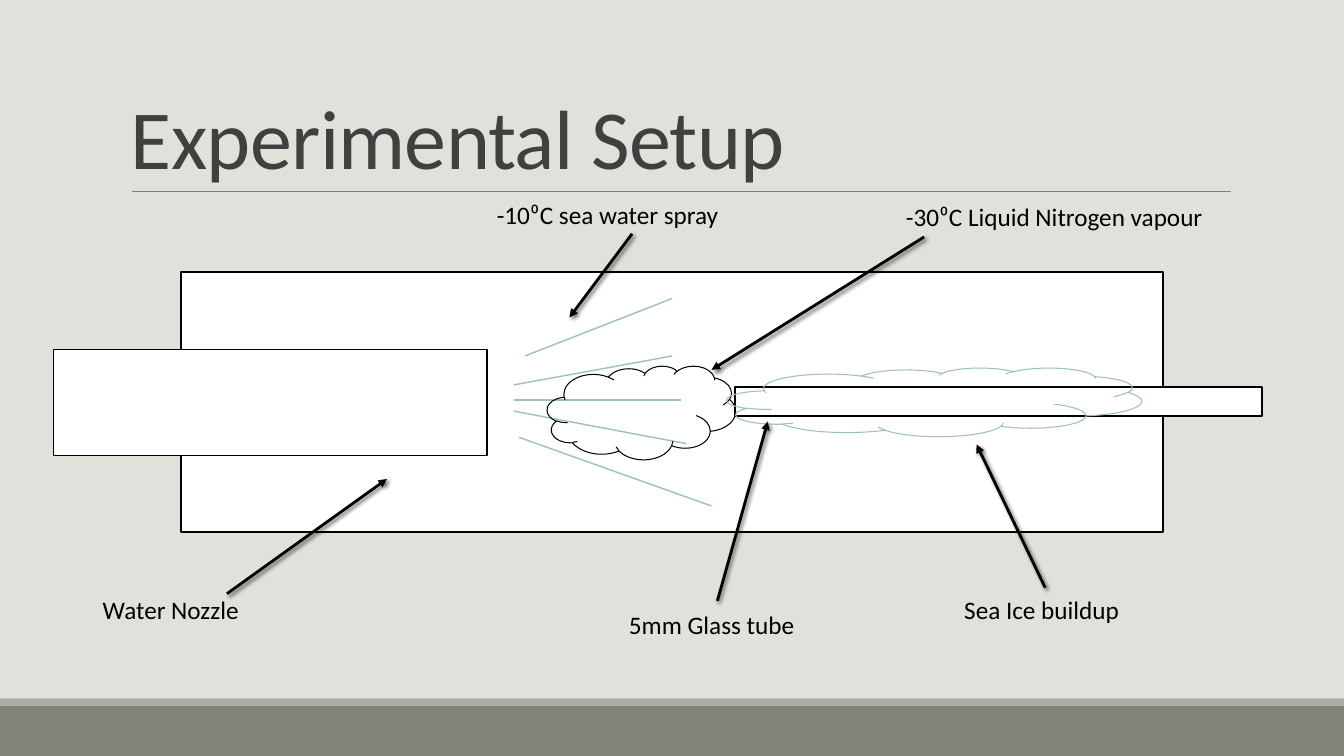
import pptx
import pptx.util
import pptx.dml.color
import pptx.enum.shapes
import pptx.enum.text
import pptx.oxml
import pptx.oxml.ns

Cm = pptx.util.Cm
Pt = pptx.util.Pt
PRESET = pptx.enum.shapes.MSO_SHAPE
FONT = "Calibri"
COLOURS = {
    "background": "E1E1DB",
    "footer": "82847C",
    "footer edge": "ACADA8",
    "rule": "808080",
    "title": "404040",
    "black": "000000",
    "white": "FFFFFF",
    "ice": "9DBFBE",
}
NAMESPACE = pptx.oxml.ns.nsdecls("a")
NO_EFFECT = f"<a:effectLst {NAMESPACE}/>"
ARROW_SHADOW = (
    f'<a:effectLst {NAMESPACE}><a:outerShdw blurRad="38100" dist="25400" '
    'dir="2700000" algn="tl" rotWithShape="0"><a:srgbClr val="000000">'
    '<a:alpha val="60000"/></a:srgbClr></a:outerShdw></a:effectLst>'
)
ARROWHEAD = f'<a:tailEnd {NAMESPACE} type="triangle"/>'


def colour(name):
    return pptx.dml.color.RGBColor.from_string(COLOURS[name])


def add_outline(line, line_colour, width):
    line.color.rgb = colour(line_colour)
    line.width = Pt(width)


def add_shape(slide, box, fill=None, line=None, width=1.25, preset=PRESET.RECTANGLE):
    shape = slide.shapes.add_shape(preset, *map(Cm, box))
    shape.shadow.inherit = False
    if fill:
        shape.fill.solid()
        shape.fill.fore_color.rgb = colour(fill)
    else:
        shape.fill.background()
    if line:
        add_outline(shape.line, line, width)
    else:
        shape.line.fill.background()


def add_line(slide, ends, line_colour, width, arrow=False):
    connector = slide.shapes.add_connector(
        pptx.enum.shapes.MSO_CONNECTOR.STRAIGHT, *map(Cm, ends))
    add_outline(connector.line, line_colour, width)
    properties = connector._element.spPr
    if arrow:
        properties.ln.append(pptx.oxml.parse_xml(ARROWHEAD))
    properties.append(pptx.oxml.parse_xml(ARROW_SHADOW if arrow else NO_EFFECT))


def add_text(slide, box, text, size, text_colour):
    text_box = slide.shapes.add_textbox(*map(Cm, box))
    paragraph = text_box.text_frame.paragraphs[0]
    run = paragraph.add_run()
    run.text = text
    run.font.name = FONT
    run.font.size = Pt(size)
    run.font.color.rgb = colour(text_colour)
    return text_box.text_frame, paragraph, run


def add_title(slide, box, text):
    frame, paragraph, run = add_text(slide, box, text, 60, "title")
    frame.word_wrap = True
    frame.vertical_anchor = pptx.enum.text.MSO_ANCHOR.BOTTOM
    paragraph.line_spacing = 0.85
    run.font._element.set("spc", "-50")


def add_label(slide, left, top, width, text):
    frame = add_text(slide, (left, top, width, 1.02), text, 18, "black")[0]
    frame.word_wrap = False
    frame.auto_size = pptx.enum.text.MSO_AUTO_SIZE.SHAPE_TO_FIT_TEXT


def main():
    presentation = pptx.Presentation()
    presentation.slide_width = Cm(33.87)
    presentation.slide_height = Cm(19.05)
    slide = presentation.slides.add_slide(presentation.slide_layouts[6])
    slide.background.fill.solid()
    slide.background.fill.fore_color.rgb = colour("background")

    # Footer bands, title and rule
    add_shape(slide, (0, 17.78, 33.87, 1.27), "footer")
    add_shape(slide, (0, 17.6, 33.87, 0.18), "footer edge")
    add_line(slide, (3.33, 4.83, 31.01, 4.83), "rule", 0.5)
    add_title(slide, (3.05, 0.79, 27.94, 4.04), "Experimental Setup")

    # Chamber and water nozzle
    add_shape(slide, (4.57, 6.86, 24.74, 6.55), "white", "black")
    add_shape(slide, (1.35, 8.81, 10.92, 2.67), "white", "black")

    # Sea water spray
    for ends in (
        (12.95, 9.7, 16.94, 8.97),
        (12.95, 10.36, 17.3, 11.18),
        (13.23, 8.97, 16.94, 7.52),
        (13.08, 11.02, 17.93, 12.75),
        (12.95, 10.08, 17.17, 10.08),
    ):
        add_line(slide, ends, "ice", 1)

    # Glass tube, nitrogen vapour and ice buildup
    add_shape(slide, (18.52, 9.75, 13.28, 0.74), "white", "black")
    add_shape(slide, (13.79, 9.22, 4.75, 2.36), None, "black", 0.75, PRESET.CLOUD)
    add_shape(slide, (18.31, 9.27, 10.46, 1.73), None, "ice", 0.75, PRESET.CLOUD)

    # Labels, each with the arrow to its part
    for left, top, width, text, arrow in (
        (2.34, 14.86, 4.11, "Water Nozzle", (5.72, 14.96, 9.75, 12.07)),
        (15.6, 15.24, 4.72, "5mm Glass tube", (18.08, 15.14, 19.35, 10.62)),
        (12.27, 4.9, 6.15, "-10⁰C sea water spray", (15.93, 5.89, 14.35, 8)),
        (22.58, 4.95, 8.08, "-30⁰C Liquid Nitrogen vapour",
         (23.29, 5.97, 17.93, 9.32)),
        (24.05, 14.86, 4.47, "Sea Ice buildup", (26.34, 14.81, 24.61, 11.2)),
    ):
        add_label(slide, left, top, width, text)
        add_line(slide, arrow, "black", 2, arrow=True)

    presentation.save("out.pptx")


main()
